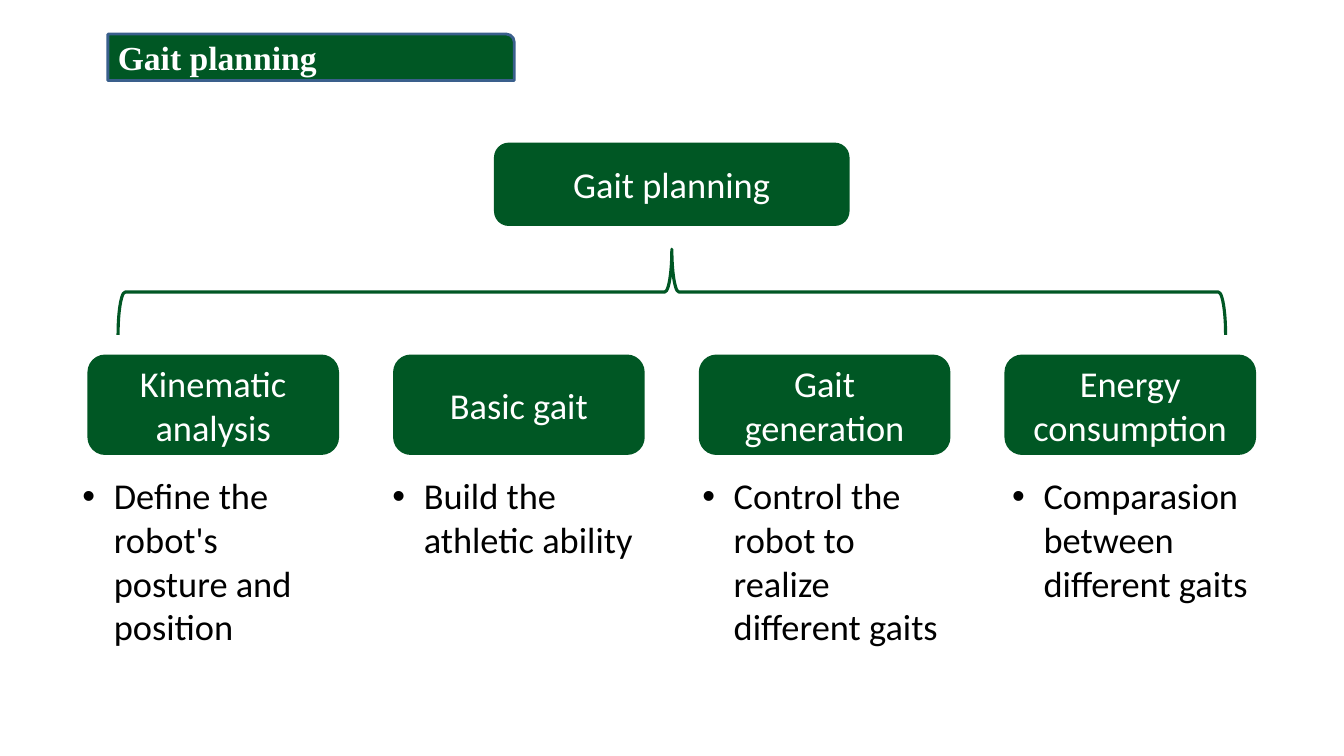
import dataclasses

import lxml.etree
import pptx
import pptx.dml.color
import pptx.enum.shapes
import pptx.enum.text
import pptx.oxml.ns
import pptx.util

Cm = pptx.util.Cm
Pt = pptx.util.Pt
Color = pptx.dml.color.RGBColor
Shape = pptx.enum.shapes.MSO_SHAPE
Align = pptx.enum.text.PP_ALIGN
Anchor = pptx.enum.text.MSO_ANCHOR
AutoSize = pptx.enum.text.MSO_AUTO_SIZE


@dataclasses.dataclass(frozen=True)
class Theme:
    green: Color = Color(0x00, 0x57, 0x24)
    header_line: Color = Color(0x3A, 0x5F, 0x8C)
    white: Color = Color(0xFF, 0xFF, 0xFF)
    black: Color = Color(0x00, 0x00, 0x00)
    header_font: str = "Times New Roman"
    body_font: str = "Calibri"
    header_size: Pt = Pt(24)
    body_size: Pt = Pt(26)
    border: Pt = Pt(2)
    brace_line: Pt = Pt(2.25)


@dataclasses.dataclass(frozen=True)
class Box:
    """A region in centimetres."""
    left: float
    top: float
    width: float
    height: float

    def lengths(self):
        return [Cm(value) for value in dataclasses.astuple(self)]


THEME = Theme()
HEADER_TEXT = {"name": THEME.header_font, "size": THEME.header_size, "bold": True}
BODY_TEXT = {"name": THEME.body_font, "size": THEME.body_size}

# Branch title, its explanation and the number of lines that takes
BRANCHES = [
    ("Kinematic analysis", "Define the robot's posture and position", 4),
    ("Basic gait", "Build the athletic ability", 2),
    ("Gait generation", "Control the robot to realize different gaits", 4),
    ("Energy consumption", "Comparasion between different gaits", 3),
]


def write_text(paragraph, text, formats, color):
    paragraph.text = text
    for name, value in formats.items():
        setattr(paragraph.font, name, value)
    paragraph.font.color.rgb = color


def add_label(slide, box, kind, text, formats, line_color, alignment):
    shape = slide.shapes.add_shape(kind, *box.lengths())
    shape.shadow.inherit = False
    shape.fill.solid()
    shape.fill.fore_color.rgb = THEME.green
    shape.line.color.rgb = line_color
    shape.line.width = THEME.border
    shape.text_frame.word_wrap = True
    shape.text_frame.vertical_anchor = Anchor.MIDDLE
    paragraph = shape.text_frame.paragraphs[0]
    paragraph.alignment = alignment
    write_text(paragraph, text, formats, THEME.white)


def add_node(slide, box, text):
    add_label(slide, box, Shape.ROUNDED_RECTANGLE, text, BODY_TEXT,
              THEME.green, Align.CENTER)


def add_brace(slide, box):
    # A left brace turned a quarter about the centre of its box
    upright = Box(box.left + (box.width - box.height) / 2,
                  box.top + (box.height - box.width) / 2,
                  box.height, box.width)
    brace = slide.shapes.add_shape(Shape.LEFT_BRACE, *upright.lengths())
    brace.rotation = 90
    brace.shadow.inherit = False
    brace.fill.background()
    brace.line.color.rgb = THEME.green
    brace.line.width = THEME.brace_line


def add_note(slide, box, text):
    frame = slide.shapes.add_textbox(*box.lengths()).text_frame
    frame.word_wrap = True
    frame.auto_size = AutoSize.SHAPE_TO_FIT_TEXT
    paragraph = frame.paragraphs[0]
    # Hanging bullet
    properties = paragraph._p.get_or_add_pPr()
    properties.set("marL", str(Cm(0.79)))
    properties.set("indent", str(Cm(-0.79)))
    qualified = pptx.oxml.ns.qn
    lxml.etree.SubElement(properties, qualified("a:buFont")).set("typeface", "Arial")
    lxml.etree.SubElement(properties, qualified("a:buChar")).set("char", "•")
    write_text(paragraph, text, BODY_TEXT, THEME.black)


def add_header(slide, box):
    add_label(slide, box, Shape.ROUND_1_RECTANGLE, "Gait planning", HEADER_TEXT,
              THEME.header_line, Align.LEFT)


def add_tree(slide, box):
    # Root and brace share the centre line of the tree
    center = box.left + box.width / 2
    root_width, brace_width = 8.89, 27.91
    add_node(slide, Box(center - root_width / 2, box.top, root_width, 2.03),
             "Gait planning")
    add_brace(slide, Box(center - brace_width / 2, box.top + 2.65, brace_width, 2.16))

    # Four branches, with explanations on a slightly wider pitch
    node_width, note_width, note_pitch = 6.27, 6.78, 7.81
    node_pitch = (box.width - node_width) / (len(BRANCHES) - 1)
    for index, (title, explanation, lines) in enumerate(BRANCHES):
        add_node(slide, Box(box.left + index * node_pitch, box.top + 5.34,
                            node_width, 2.46), title)
        add_note(slide, Box(box.left - 0.41 + index * note_pitch, box.top + 8.18,
                            note_width, 0.28 + 1.1 * lines), explanation)


def main():
    presentation = pptx.Presentation()
    presentation.slide_width = Cm(33.87)
    presentation.slide_height = Cm(19.05)
    slide = presentation.slides.add_slide(presentation.slide_layouts[6])
    add_header(slide, Box(2.72, 0.86, 10.24, 1.17))
    add_tree(slide, Box(2.24, 3.63, 29.38, 12.88))
    presentation.save("out.pptx")


if __name__ == "__main__":
    main()
